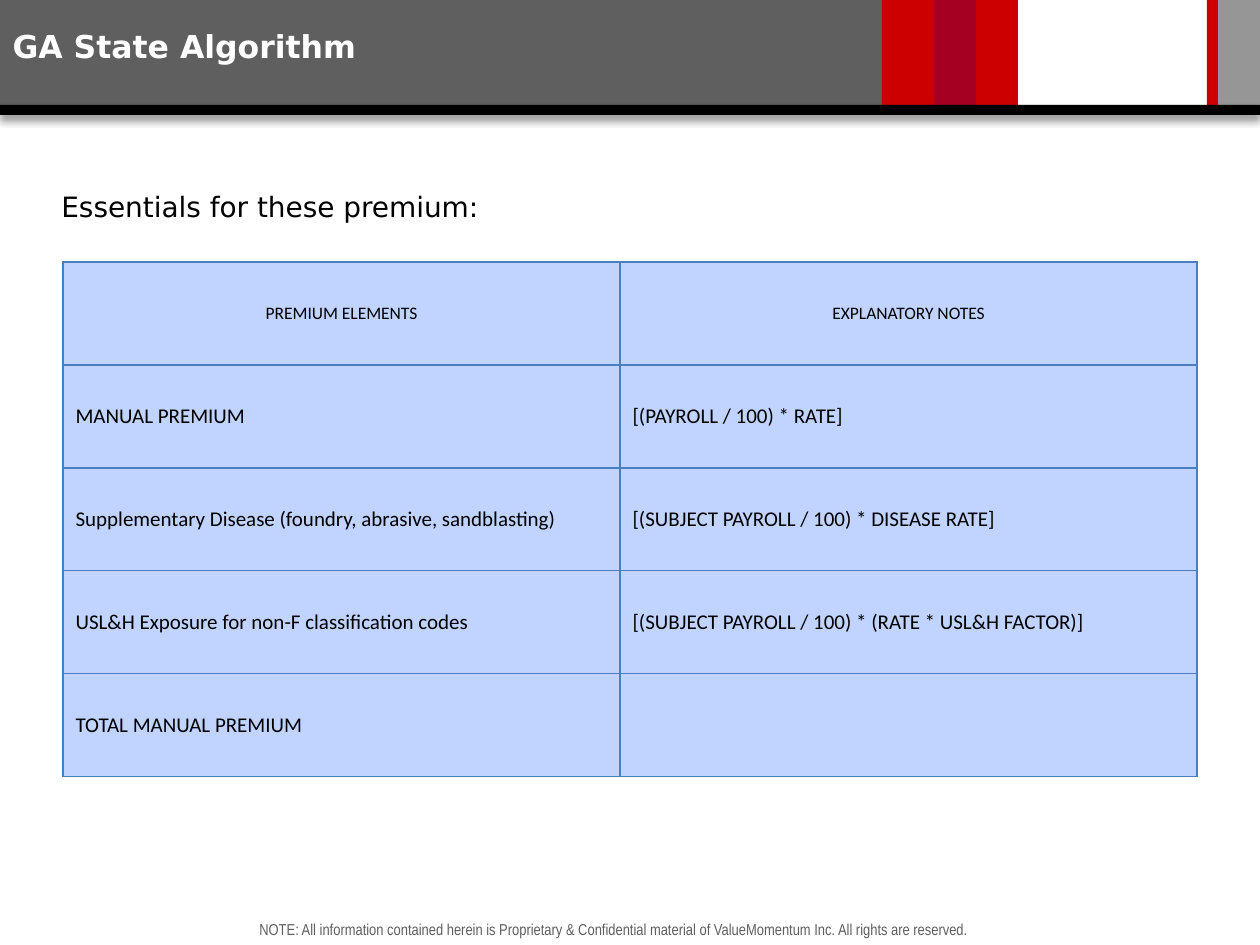
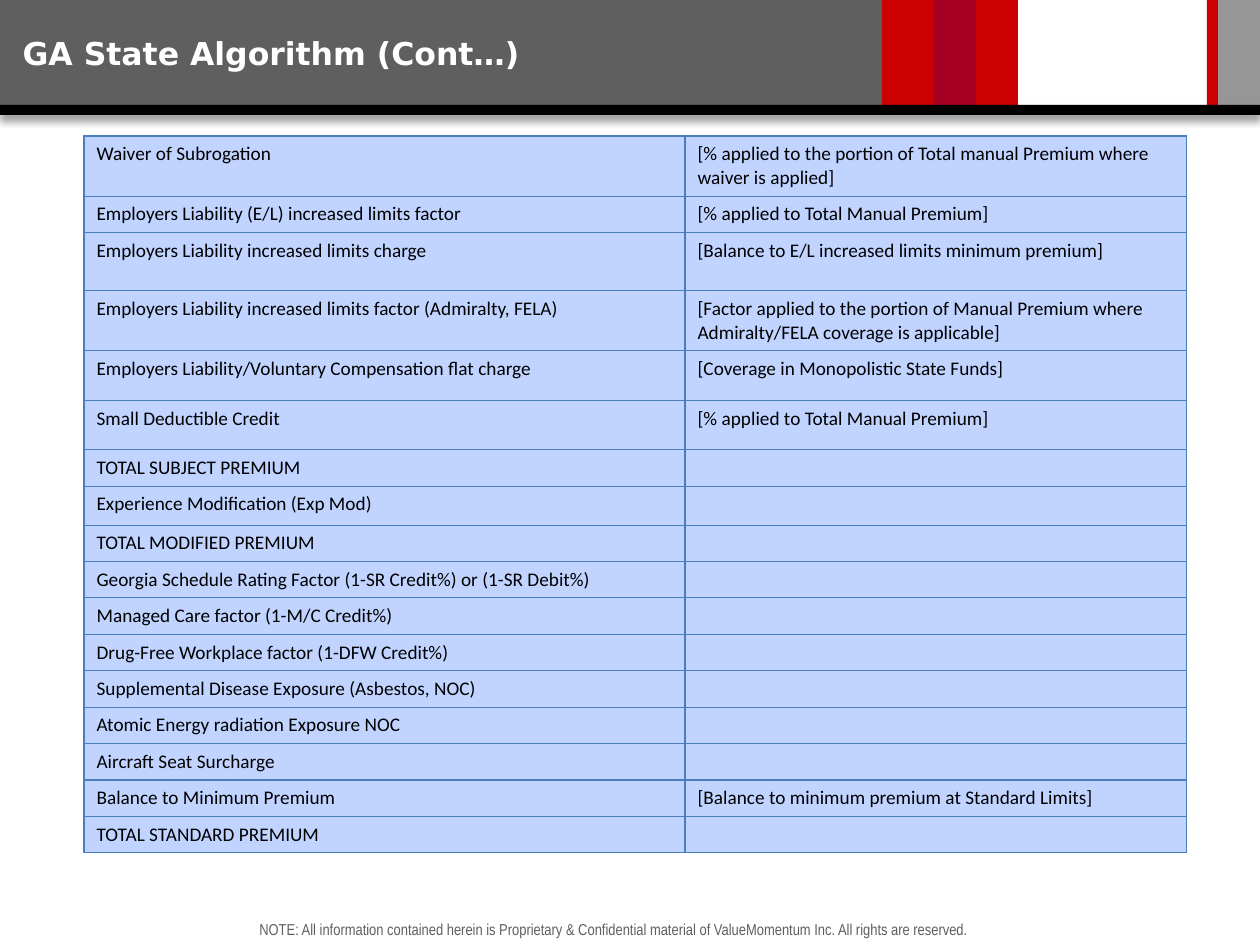
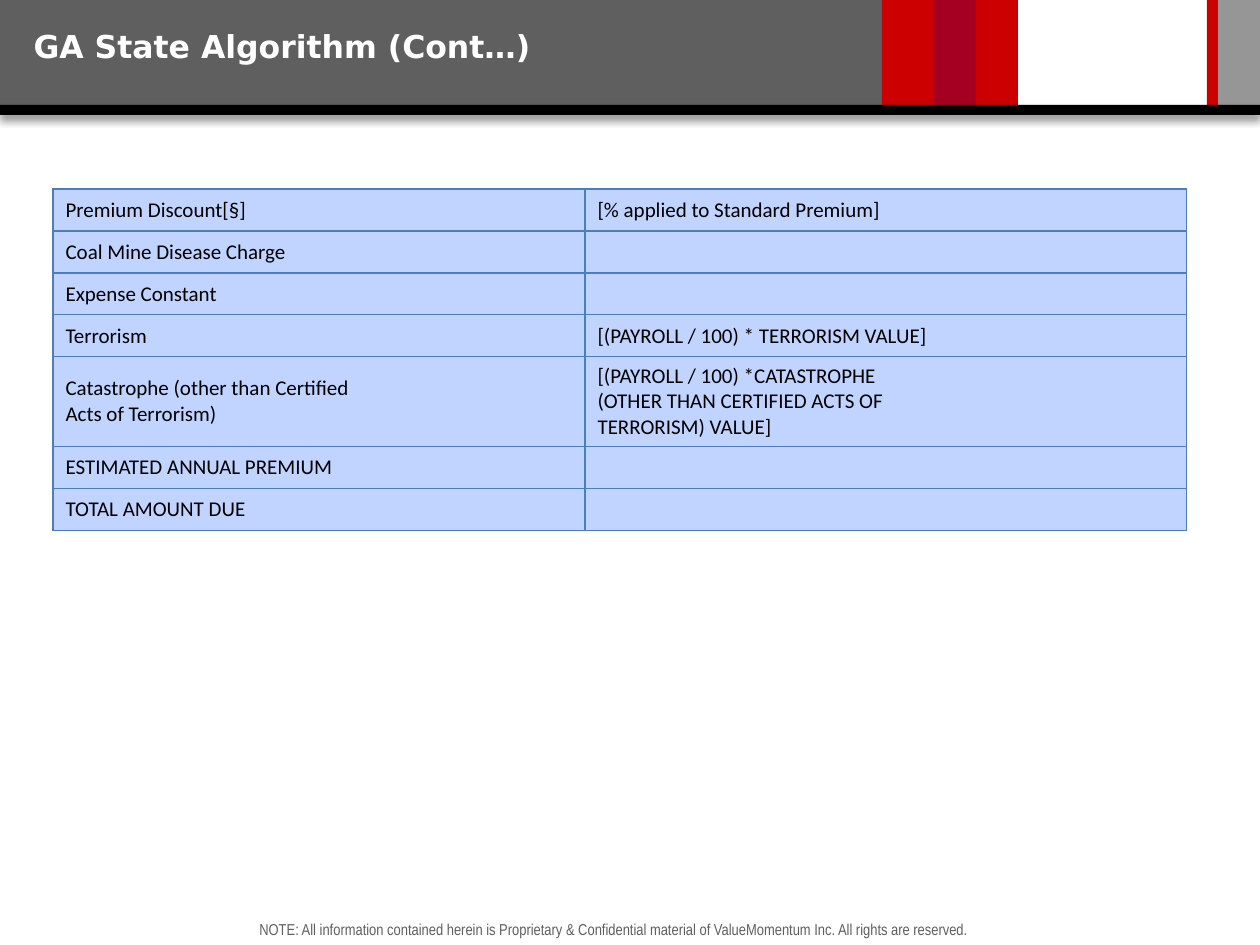
from lxml.etree import SubElement
from pptx import Presentation
from pptx.dml.color import RGBColor
from pptx.enum.shapes import MSO_SHAPE
from pptx.enum.text import MSO_ANCHOR, MSO_AUTO_SIZE, PP_ALIGN
from pptx.oxml import parse_xml
from pptx.oxml.ns import nsdecls, qn
from pptx.util import Pt

# Shared look
PX = 914400 // 126
GREY, RED, DARK, SILVER = "5F5F5F", "CC0000", "A50021", "969696"
BLACK, WHITE, CELL, EDGE = "000000", "FFFFFF", "C0D4FF", "4B7EBC"
HEAD, BODY, SMALL = "DejaVu Sans", "Calibri", "Arial Narrow"

BANDS = [  # left, top, width, height, colour
    (0, 0, 1018, 105, GREY),
    (882, 0, 136, 105, RED),
    (1218, 0, 42, 105, SILVER),
    (934, 0, 42, 105, DARK),
    (1207, 0, 11, 105, RED),
    (0, 105, 1260, 10, BLACK),
]
NOTE = ("NOTE: All information contained herein is Proprietary & Confidential "
        "material of ValueMomentum Inc. All rights are reserved.")
LEAD = "Essentials for these premium:"

# Content
SLIDES = [
    {
        "title": "GA State Algorithm", "box": (0, 21, 380, 50),
        "lead": LEAD, "at": (63, 262), "cols": (557, 577),
        "tall": [103] * 5, "size": 12, "mid": True, "header": 10,
        "rows": [
            ("PREMIUM ELEMENTS", "EXPLANATORY NOTES"),
            ("MANUAL PREMIUM", "[(PAYROLL / 100) * RATE]"),
            ("Supplementary Disease (foundry, abrasive, sandblasting)",
             "[(SUBJECT PAYROLL / 100) * DISEASE RATE]"),
            ("USL&H Exposure for non-F classification codes",
             "[(SUBJECT PAYROLL / 100) * (RATE * USL&H FACTOR)]"),
            ("TOTAL MANUAL PREMIUM", ""),
        ],
    },
    {
        "title": "GA State Algorithm (Cont…)", "box": (10, 28, 809, 50),
        "at": (84, 136), "cols": (601, 502),
        "tall": [58, 36, 58, 59, 50, 49, 36, 39] + [36] * 9,
        "size": 11, "mid": False,
        "rows": [
            ("Waiver of Subrogation",
             "[% applied to the portion of Total manual Premium where waiver is applied]"),
            ("Employers Liability (E/L) increased limits factor",
             "[% applied to Total Manual Premium]"),
            ("Employers Liability increased limits charge",
             "[Balance to E/L increased limits minimum premium]"),
            ("Employers Liability increased limits factor (Admiralty, FELA)",
             "[Factor applied to the portion of Manual Premium where "
             "Admiralty/FELA coverage is applicable]"),
            ("Employers Liability/Voluntary Compensation flat charge",
             "[Coverage in Monopolistic State Funds]"),
            ("Small Deductible Credit", "[% applied to Total Manual Premium]"),
            ("TOTAL SUBJECT PREMIUM", ""),
            ("Experience Modification (Exp Mod)", ""),
            ("TOTAL MODIFIED PREMIUM", ""),
            ("Georgia Schedule Rating Factor (1-SR Credit%) or (1-SR Debit%)", ""),
            ("Managed Care factor (1-M/C Credit%)", ""),
            ("Drug-Free Workplace factor (1-DFW Credit%)", ""),
            ("Supplemental Disease Exposure (Asbestos, NOC)", ""),
            ("Atomic Energy radiation Exposure NOC", ""),
            ("Aircraft Seat Surcharge", ""),
            ("Balance to Minimum Premium",
             "[Balance to minimum premium at Standard Limits]"),
            ("TOTAL STANDARD PREMIUM", ""),
        ],
    },
    {
        "title": "GA State Algorithm (Cont…)", "box": (21, 21, 630, 50),
        "at": (53, 189), "cols": (532, 602),
        "tall": [42] * 4 + [89] + [42] * 2, "size": 12, "mid": True,
        "rows": [
            ("Premium Discount[§]", "[% applied to Standard Premium]"),
            ("Coal Mine Disease Charge", ""),
            ("Expense Constant", ""),
            ("Terrorism", "[(PAYROLL / 100) * TERRORISM VALUE]"),
            ("Catastrophe (other than Certified\nActs of Terrorism)",
             "[(PAYROLL / 100) *CATASTROPHE\n(OTHER THAN CERTIFIED ACTS OF\n"
             "TERRORISM) VALUE]"),
            ("ESTIMATED ANNUAL PREMIUM", ""),
            ("TOTAL AMOUNT DUE", ""),
        ],
    },
]


def rgb(code):
    return RGBColor.from_string(code)


def emu(*sizes):
    return [size * PX for size in sizes]


def write(frame, text, face, size, color, bold=False, align=PP_ALIGN.LEFT):
    frame.text = text
    for para in frame.paragraphs:
        para.alignment = align
        for run in para.runs:
            font = run.font
            font.name, font.size, font.bold = face, Pt(size), bold
            font.color.rgb = rgb(color)
        if not para.runs:  # keeps an empty row from growing
            SubElement(para._p, qn("a:endParaRPr"), sz=str(size * 100))


def label(slide, box, *style):
    shape = slide.shapes.add_textbox(*emu(*box))
    shape.text_frame.word_wrap = True
    write(shape.text_frame, *style)
    return shape


def shade(shape):
    shape._element.spPr.find(qn("a:effectLst")).append(parse_xml(
        f'<a:outerShdw {nsdecls("a")} blurRad="{Pt(4)}" dist="{Pt(3)}" '
        f'dir="5400000" algn="t" rotWithShape="0"><a:srgbClr val="{BLACK}">'
        '<a:alpha val="40000"/></a:srgbClr></a:outerShdw>'))


def dress(slide):
    """Draw the bands and footer, then move them to the layout."""
    parts = []
    for *box, color in BANDS:
        band = slide.shapes.add_shape(MSO_SHAPE.RECTANGLE, *emu(*box))
        band.shadow.inherit = False
        band.fill.solid()
        band.fill.fore_color.rgb = rgb(color)
        band.line.fill.background()
        parts.append(band)
    shade(parts[-1])
    parts.append(label(slide, (247, 914, 766, 31), NOTE, SMALL, 9, GREY))
    for part in parts:
        slide.slide_layout.shapes.element.append(part.element)


def border(cell):
    for side in ("lnL", "lnR", "lnT", "lnB"):
        cell._tc.get_or_add_tcPr().append(parse_xml(
            f'<a:{side} {nsdecls("a")} w="{Pt(0.75)}"><a:solidFill>'
            f'<a:srgbClr val="{EDGE}"/></a:solidFill></a:{side}>'))


def grid(slide, page):
    rows, cols, tall = page["rows"], page["cols"], page["tall"]
    table = slide.shapes.add_table(
        len(rows), len(cols), *emu(*page["at"], sum(cols), sum(tall))).table
    table.first_row = table.horz_banding = False
    for col, width in zip(table.columns, cols):
        col.width = width * PX
    for r, (row, height) in enumerate(zip(rows, tall)):
        table.rows[r].height = height * PX
        head = r == 0 and "header" in page
        size = page["header"] if head else page["size"]
        align = PP_ALIGN.CENTER if head else PP_ALIGN.LEFT
        for c, text in enumerate(row):
            cell = table.cell(r, c)
            border(cell)
            cell.fill.solid()
            cell.fill.fore_color.rgb = rgb(CELL)
            cell.vertical_anchor = MSO_ANCHOR.MIDDLE if page["mid"] else MSO_ANCHOR.TOP
            write(cell.text_frame, text, BODY, size, BLACK, align=align)


def head(slide, page):
    title = slide.shapes.title
    title.left, title.top, title.width, title.height = emu(*page["box"])
    frame = title.text_frame
    frame.auto_size = MSO_AUTO_SIZE.NONE
    frame.vertical_anchor = MSO_ANCHOR.MIDDLE
    write(frame, page["title"], HEAD, 18, WHITE, bold=True)


def main():
    deck = Presentation()
    deck.slide_width, deck.slide_height = emu(1260, 945)
    layout = deck.slide_layouts[5]
    for n, page in enumerate(SLIDES):
        slide = deck.slides.add_slide(layout)
        if n == 0:
            dress(slide)
        head(slide, page)
        grid(slide, page)
        if "lead" in page:
            label(slide, (49, 183, 480, 50), page["lead"], HEAD, 16, BLACK)
    deck.save("out.pptx")


if __name__ == "__main__":
    main()
